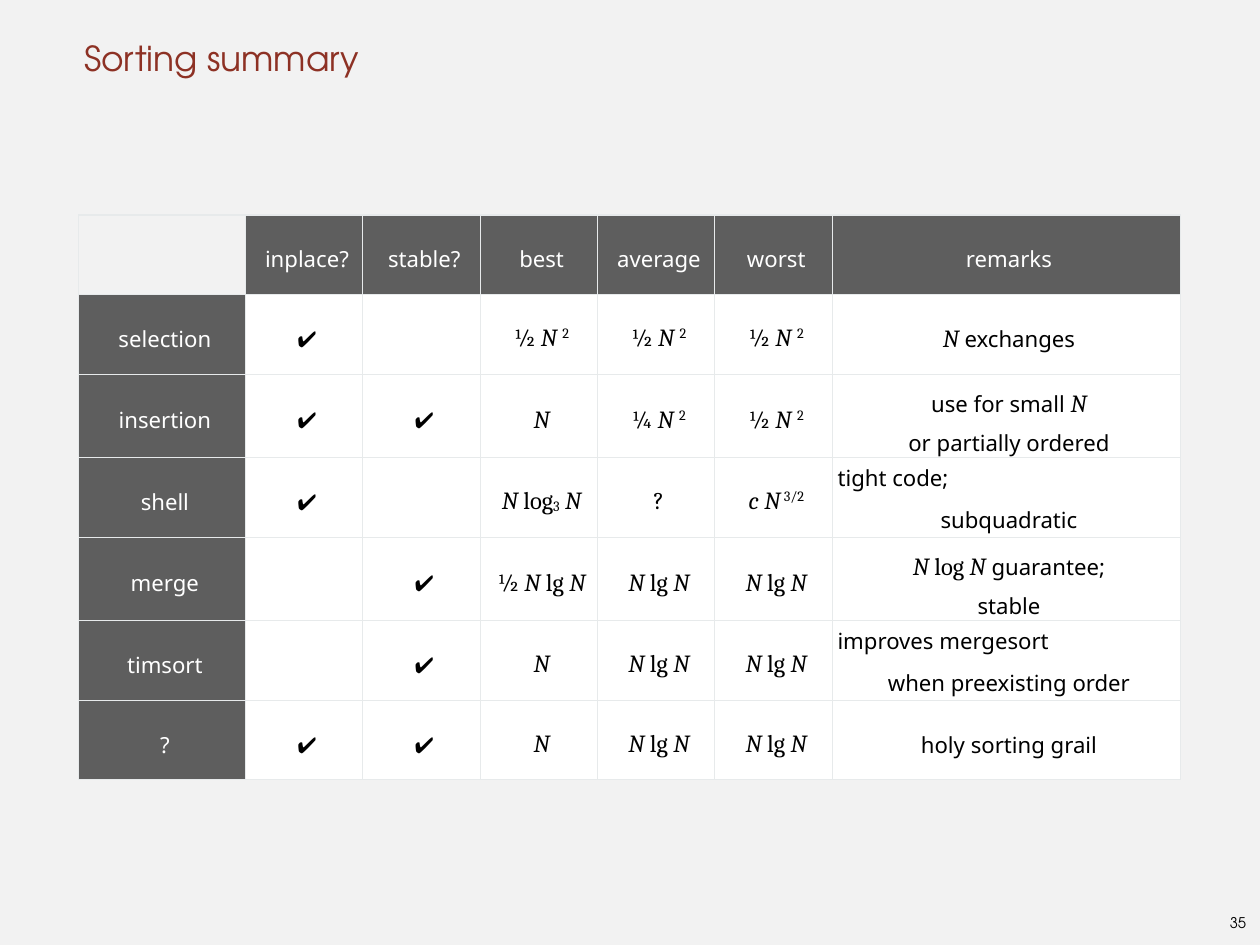
import lxml.etree
import pptx
import pptx.dml.color
import pptx.enum.text
import pptx.oxml.ns
import pptx.util

ALIGN = pptx.enum.text.PP_ALIGN
ANCHOR = pptx.enum.text.MSO_ANCHOR
INK, PAPER, HEAD, RULE = "000000", "FFFFFF", "5E5E5E", "E7EAEB"
SANS, SERIF, ROUND = "Noto Sans", "Cambria", "TeX Gyre Adventor"
PAD = pptx.util.Inches(0.06)

# Part marks: = upright maths, * italic maths, ^ raised, _ lowered
MARKS = {"=": (False, 0), "*": (True, 0), "^": (False, 32), "_": (False, -6)}

HALF = "=½|* N |^2"
LOG = "*N|= lg |*N"
TICK = "✔"
ROWS = [
    ["", "inplace?", "stable?", "best", "average", "worst", "remarks"],
    ["selection", TICK, "", HALF, HALF, HALF, "*N| exchanges"],
    ["insertion", TICK, TICK, "*N", "=¼|* N |^2", HALF,
     "use for small |*N\nor partially ordered"],
    ["shell", TICK, "", "*N |=log|_3|* N", "=?", "*c N|^ 3/2",
     "tight code;\nsubquadratic"],
    ["merge", "", TICK, "=½ |*N|= lg |*N", LOG, LOG,
     "*N |=log |*N| guarantee;\nstable"],
    ["timsort", "", TICK, "*N", LOG, LOG,
     "improves mergesort\nwhen preexisting order"],
    ["?", TICK, TICK, "*N", LOG, LOG, "holy sorting grail"],
]
LOOSE = {"shell", "timsort"}  # rows whose remark opens flush left


def shade(code):
    return pptx.dml.color.RGBColor.from_string(code)


class Deck:
    """Holds the current slide, on a grid of 16 columns by 12 rows."""

    def __init__(self):
        self.show = pptx.Presentation()
        self.show.slide_width = pptx.util.Inches(14.22)
        self.show.slide_height = pptx.util.Inches(10.67)
        self.slide = self.show.slides.add_slide(self.show.slide_layouts[5])
        fill = self.slide.background.fill
        fill.solid()
        fill.fore_color.rgb = shade("F2F2F2")

    def place(self, left, top, width, height):
        """Turn grid columns and rows into slide lengths."""
        col, row = self.show.slide_width / 16, self.show.slide_height / 12
        return [int(n) for n in (left * col, top * row, width * col, height * row)]

    def style(self, run, size, face, color):
        run.font.size = pptx.util.Pt(size)
        run.font.name = face
        run.font.color.rgb = shade(color)

    def inset(self, frame, pad):
        frame.margin_left = frame.margin_right = pad
        frame.margin_top = frame.margin_bottom = pad

    def indent(self, para):
        props = para._p.get_or_add_pPr()
        props.set("marL", str(PAD))
        props.set("indent", "0")

    def title(self, text, box):
        shape = self.slide.shapes.title
        shape.left, shape.top, shape.width, shape.height = self.place(*box)
        frame = shape.text_frame
        self.inset(frame, 0)
        frame.vertical_anchor = ANCHOR.BOTTOM
        frame.text = text
        para = frame.paragraphs[0]
        self.indent(para)
        para.alignment = ALIGN.LEFT
        self.style(para.runs[0], 28, ROUND, "8D3124")

    def label(self, text, box):
        frame = self.slide.shapes.add_textbox(*self.place(*box)).text_frame
        self.inset(frame, PAD)
        frame.word_wrap = False
        frame.vertical_anchor = ANCHOR.MIDDLE
        frame.text = text
        para = frame.paragraphs[0]
        para.alignment = ALIGN.CENTER
        self.style(para.runs[0], 12, ROUND, INK)

    def phrase(self, para, text, color):
        """Fill a paragraph with the marked parts of the text."""
        for part in filter(None, text.split("|")):
            run = para.add_run()
            if part[0] in MARKS:
                run.text = part[1:]
                self.style(run, 20, SERIF, color)
                run.font.italic, shift = MARKS[part[0]]
                if shift:
                    run._r.get_or_add_rPr().set("baseline", str(shift * 1000))
            else:
                run.text = part
                self.style(run, 18, SANS, color)

    def rule(self, cell):
        """Draw the four borders of a cell."""
        props = cell._tc.get_or_add_tcPr()
        tag = pptx.oxml.ns.qn
        for side in ("lnL", "lnR", "lnT", "lnB"):
            line = lxml.etree.SubElement(props, tag("a:" + side), w="12700")
            fill = lxml.etree.SubElement(line, tag("a:solidFill"))
            lxml.etree.SubElement(fill, tag("a:srgbClr"), val=RULE)

    def cell(self, cell, text, head, loose):
        self.inset(cell, PAD)
        cell.vertical_anchor = ANCHOR.MIDDLE
        self.rule(cell)
        if head and not text:
            cell.fill.background()
        else:
            cell.fill.solid()
            cell.fill.fore_color.rgb = shade(HEAD if head else PAPER)
        frame = cell.text_frame
        for i, line in enumerate(text.split("\n")):
            para = frame.add_paragraph() if i else frame.paragraphs[0]
            if loose and i == 0:
                para.alignment = ALIGN.LEFT
            else:
                self.indent(para)
                para.alignment = ALIGN.CENTER
                para.line_spacing = 1.4 if loose else 1.3
            self.phrase(para, line, PAPER if head else INK)

    def table(self, rows, spans, left, top, tall):
        box = self.place(left, top, sum(spans), tall * len(rows))
        table = self.slide.shapes.add_table(len(rows), len(spans), *box).table
        table.first_row = table.horz_banding = False
        for col, span in zip(table.columns, spans):
            col.width = self.place(0, 0, span, 0)[2]
        for r, row in enumerate(rows):
            table.rows[r].height = self.place(0, 0, 0, tall)[3]
            for c, text in enumerate(row):
                loose = row[0] in LOOSE and c == len(row) - 1
                self.cell(table.cell(r, c), text, r == 0 or c == 0, loose)


def main():
    deck = Deck()
    deck.label("35", (15.53, 11.53, 0.38, 0.36))
    deck.title("Sorting summary", (1, 0, 14, 1))
    deck.table(ROWS, [2.12] + [1.49] * 5 + [4.42], 1, 2.73, 1.01)
    deck.show.save("out.pptx")


if __name__ == "__main__":
    main()
